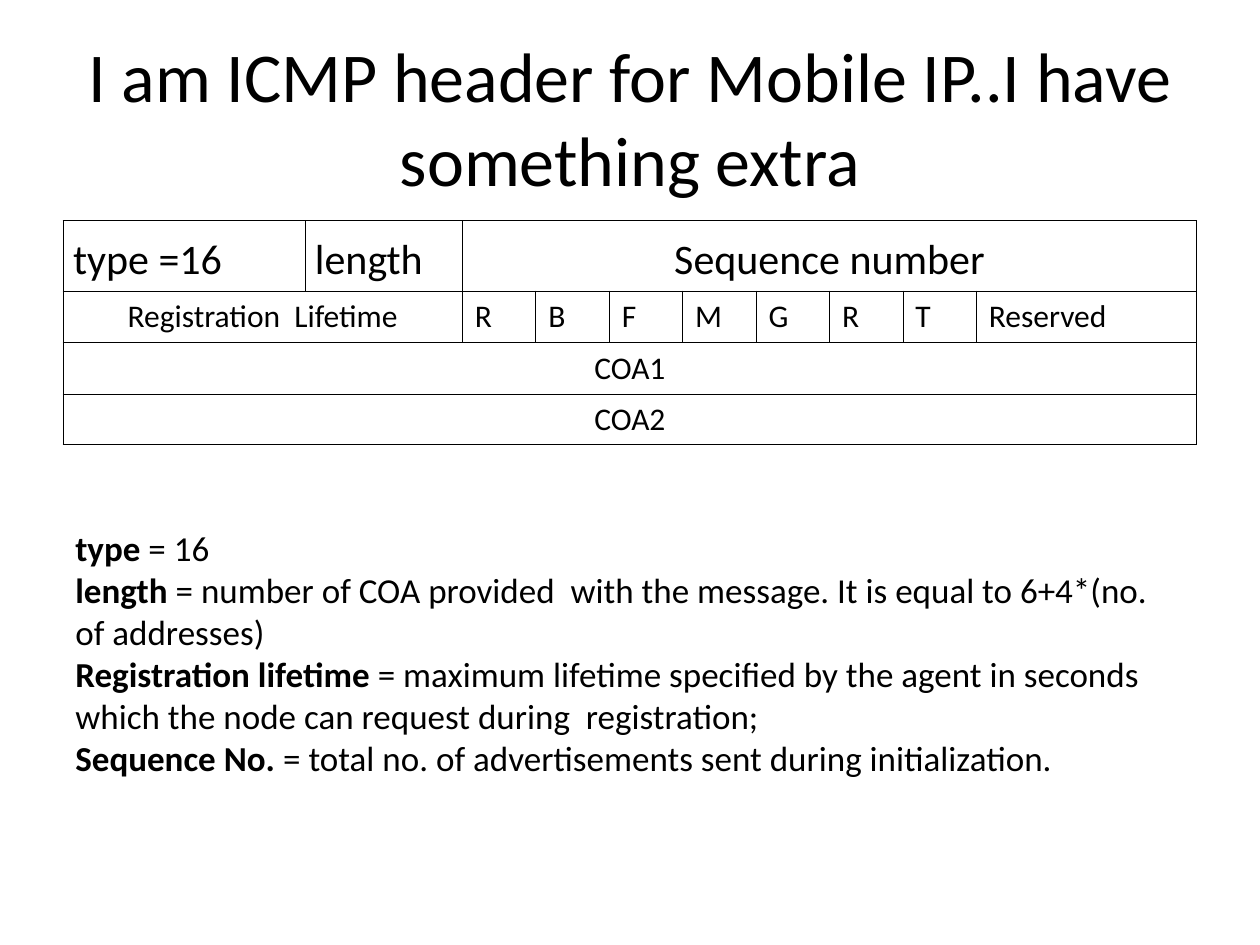
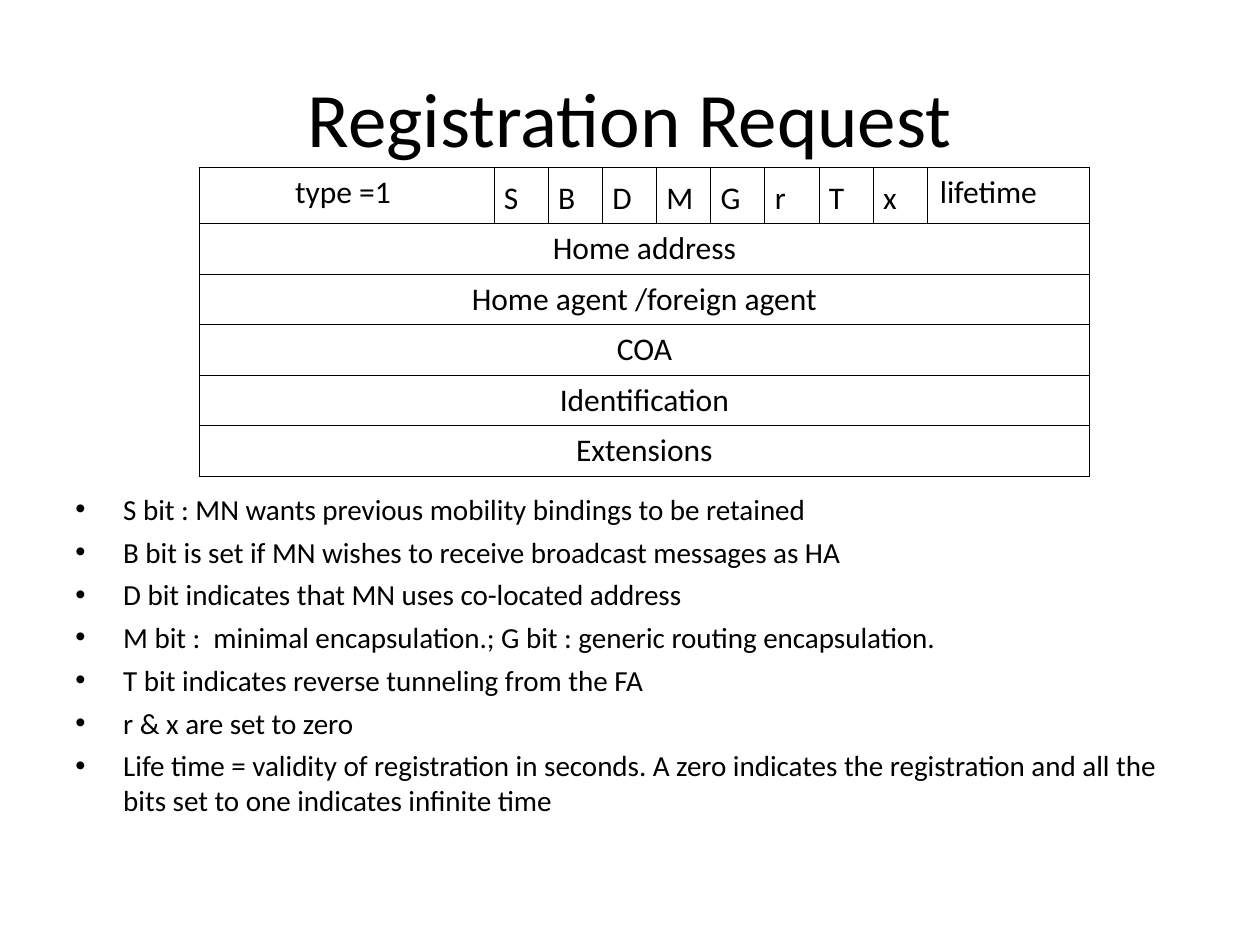
import pptx
import pptx.util
import pptx.dml.color
import pptx.enum.text
import pptx.oxml
import pptx.oxml.ns

Inches = pptx.util.Inches
Pt = pptx.util.Pt
ALIGN = pptx.enum.text.PP_ALIGN
ANCHOR = pptx.enum.text.MSO_ANCHOR

FONT = "Calibri"
COLORS = {"ink": "000000", "page": "FFFFFF"}
NS = pptx.oxml.ns.nsdecls("a")


def rgb(name):
    return pptx.dml.color.RGBColor.from_string(COLORS[name])


def style(para, size, align=ALIGN.LEFT):
    para.alignment = align
    para.font.name = FONT
    para.font.size = Pt(size)
    para.font.color.rgb = rgb("ink")


def add_slide(deck):
    slide = deck.slides.add_slide(deck.slide_layouts[6])
    slide.background.fill.solid()
    slide.background.fill.fore_color.rgb = rgb("page")
    return slide


def add_box(slide, top, height, anchor=ANCHOR.TOP):
    box = slide.shapes.add_textbox(Inches(0.5), Inches(top), Inches(9), Inches(height))
    frame = box.text_frame
    frame.word_wrap = True
    frame.vertical_anchor = anchor
    return frame


def add_title(slide, text, size):
    frame = add_box(slide, 0.3, 1.25, ANCHOR.MIDDLE)
    frame.text = text
    style(frame.paragraphs[0], size, ALIGN.CENTER)


def add_paras(frame, count):
    for _ in range(count - 1):
        frame.add_paragraph()
    return frame.paragraphs


def add_terms(slide, top, height, terms):
    frame = add_box(slide, top, height)
    for para, (term, text) in zip(add_paras(frame, len(terms)), terms):
        style(para, 20)
        for part, bold in ((term, True), (text, False)):
            run = para.add_run()
            run.text = part
            run.font.bold = bold


def add_bullets(slide, top, height, items):
    frame = add_box(slide, top, height)
    for para, item in zip(add_paras(frame, len(items)), items):
        para.text = item
        style(para, 16.6)
        para.space_before = Pt(4.5)
        props = para._p.get_or_add_pPr()
        props.set("marL", str(Inches(0.38)))
        props.set("indent", str(Inches(-0.38)))
        marks = (
            f'<a:buClr {NS}><a:srgbClr val="{COLORS["ink"]}"/></a:buClr>',
            f'<a:buFont {NS} typeface="Arial"/>',
            f'<a:buChar {NS} char="•"/>',
        )
        rest = props.find(pptx.oxml.ns.qn("a:defRPr"))
        for mark in marks:
            rest.addprevious(pptx.oxml.parse_xml(mark))


def set_edges(cell):
    props = cell._tc.get_or_add_tcPr()
    for spot, side in enumerate(("lnL", "lnR", "lnT", "lnB")):
        edge = pptx.oxml.parse_xml(
            f'<a:{side} {NS} w="{Pt(0.45)}"><a:solidFill>'
            f'<a:srgbClr val="{COLORS["ink"]}"/></a:solidFill></a:{side}>'
        )
        props.insert(spot, edge)


def field(text, span=1, align=ALIGN.LEFT, size=18, tight=False):
    return text, span, align, size, tight


def wide(text, span=10):
    return field(text, span, ALIGN.CENTER)


def flag(text, size=18):
    return field(text, 1, ALIGN.JUSTIFY, size, True)


def fill_cell(cell, text, align, size, tight):
    cell.text = text
    para = cell.text_frame.paragraphs[0]
    style(para, size, align)
    if tight:
        para.line_spacing = 1.15
    cell.margin_left = cell.margin_right = Inches(0.08 if tight else 0.1)


def add_header(slide, left, top, widths, heights, rows):
    shape = slide.shapes.add_table(
        len(heights), len(widths), Inches(left), Inches(top),
        Inches(sum(widths)), Inches(sum(heights)),
    )
    table = shape.table
    table.first_row = table.horz_banding = False
    for col, width in zip(table.columns, widths):
        col.width = Inches(width)
    for row, height in zip(table.rows, heights):
        row.height = Inches(height)
    for cell in table.iter_cells():
        cell.fill.background()
        set_edges(cell)
    for y, row in enumerate(rows):
        x = 0
        for text, span, align, size, tight in row:
            cell = table.cell(y, x)
            if span > 1:
                cell.merge(table.cell(y, x + span - 1))
            fill_cell(cell, text, align, size, tight)
            x += span


def add_advert(deck):
    slide = add_slide(deck)
    add_title(slide, "I am ICMP header for Mobile IP..I have something extra", 40)
    add_header(
        slide, 0.5, 1.75,
        [1.92, 1.25] + [0.583] * 7 + [1.75],
        [0.46, 0.41, 0.41, 0.4],
        [
            [flag("type =16", 24), flag("length", 24),
             field("Sequence number", 8, ALIGN.CENTER, 24, True)],
            [wide("Registration  Lifetime", 2)]
            + [field(bit) for bit in "RBFMGRT"] + [field("Reserved")],
            [wide("COA1")],
            [wide("COA2")],
        ],
    )
    add_terms(slide, 4.13, 2.44, [
        ("type", " = 16"),
        ("length", " = number of COA provided  with the message. "
                   "It is equal to 6+4*(no. of addresses)"),
        ("Registration lifetime ", "= maximum lifetime specified by the agent in seconds "
                                   "which the node can request during  registration;"),
        ("Sequence No.", " = total no. of advertisements sent during initialization."),
    ])


def add_request(deck):
    slide = add_slide(deck)
    add_title(slide, "Registration Request", 44)
    names = ["Home address", "Home agent /foreign agent", "COA",
             "Identification", "Extensions"]
    bits = [flag(bit) for bit in "SBDMGrTx"]
    add_bullets(slide, 3.85, 3.23, [
        "S bit : MN wants previous mobility bindings to be retained",
        "B bit is set if MN wishes to receive broadcast messages as HA",
        "D bit indicates that MN uses co-located address",
        "M bit :  minimal encapsulation.; G bit : generic routing encapsulation.",
        "T bit indicates reverse tunneling from the FA",
        "r & x are set to zero",
        "Life time = validity of registration in seconds. A zero indicates the "
        "registration and all the bits set to one indicates infinite time",
    ])
    add_header(
        slide, 1.58, 1.33,
        [2.34] + [0.43] * 8 + [1.29],
        [0.4] * 6,
        [[wide("type =1 ", 1)] + bits + [field("lifetime")]]
        + [[wide(name)] for name in names],
    )


def main():
    deck = pptx.Presentation()
    deck.slide_width = Inches(10)
    deck.slide_height = Inches(7.5)
    add_advert(deck)
    add_request(deck)
    deck.save("out.pptx")


if __name__ == "__main__":
    main()
